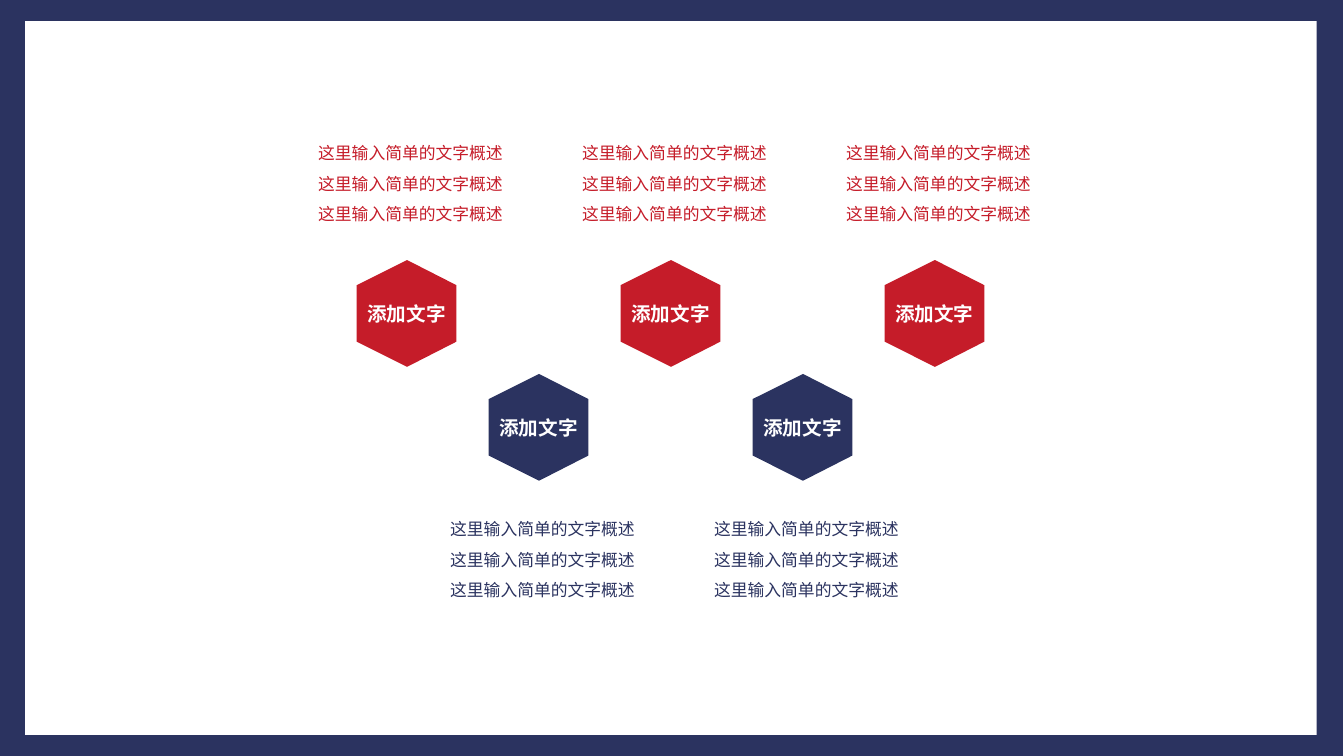
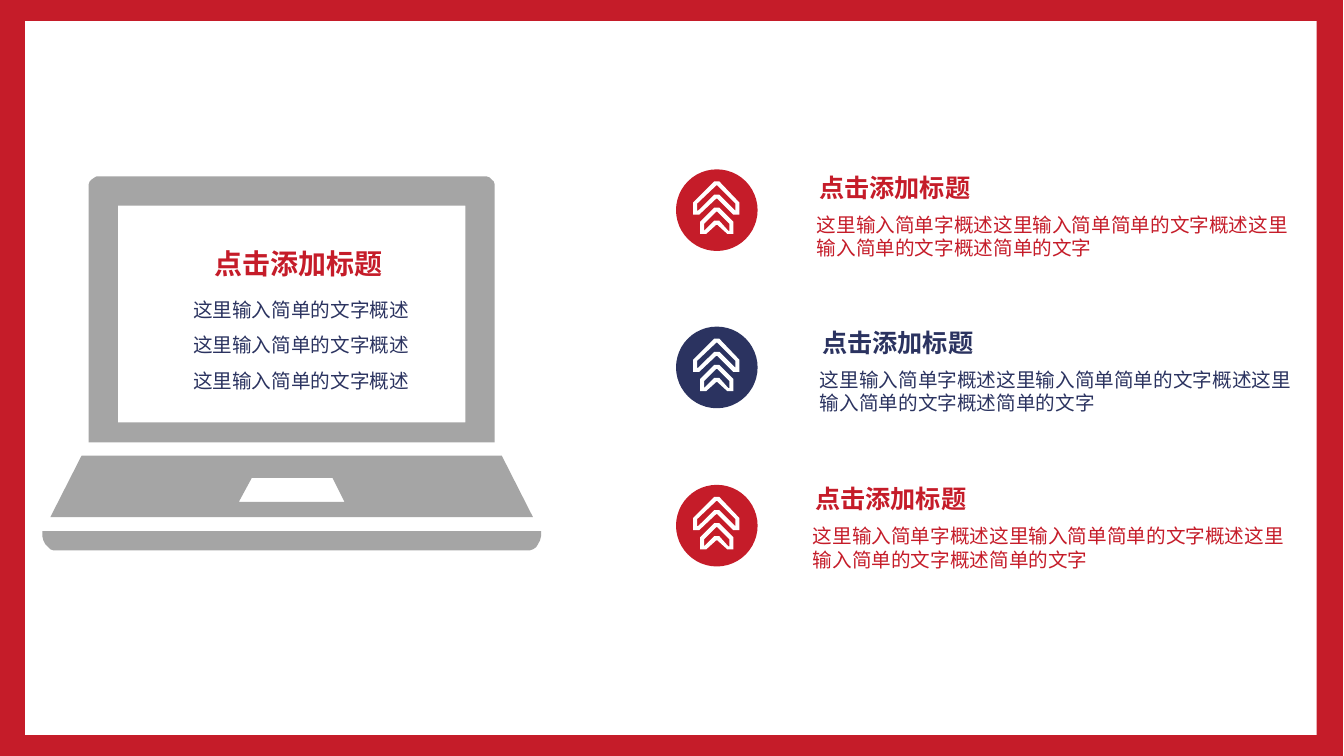
from dataclasses import dataclass
from math import cos, radians, sin

from lxml.etree import SubElement
from pptx import Presentation
from pptx.dml.color import RGBColor
from pptx.enum.shapes import MSO_SHAPE
from pptx.enum.text import MSO_ANCHOR, PP_ALIGN
from pptx.oxml.ns import qn
from pptx.shapes.autoshape import Shape
from pptx.slide import Slide
from pptx.text.text import TextFrame
from pptx.util import Pt

PX = 9144
RED = RGBColor(0xC5, 0x1C, 0x29)
NAVY = RGBColor(0x2B, 0x33, 0x60)
GREY = RGBColor(0xA5, 0xA5, 0xA5)
WHITE = RGBColor(0xFF, 0xFF, 0xFF)
SANS = "Noto Sans CJK SC"
LATO = "Lato"
LABEL = "添加文字"
TITLE = "点击添加标题"
LINES = ["这里输入简单的文字概述"] * 3
BODY = [
    "这里输入简单字概述这里输入简单简单的文字概述这里",
    "输入简单的文字概述简单的文字",
]

Points = list[tuple[int, int]]

HEX: Points = [(50, 0), (99, 25), (99, 81), (50, 106), (0, 81), (0, 25)]
ARROWS: list[Points] = [
    [(46, 21), (46, 33), (40, 33), (24, 17), (23, 17),
     (6, 33), (0, 33), (0, 21), (21, 0), (26, 0)],
    [(23, 4), (4, 22), (4, 29), (5, 29), (21, 13),
     (26, 13), (42, 29), (42, 22), (24, 4)],
    [(40, 40), (40, 52), (34, 52), (24, 43), (23, 43),
     (13, 52), (7, 52), (7, 40), (21, 26), (26, 26)],
    [(23, 30), (11, 42), (11, 49), (21, 39),
     (26, 39), (35, 49), (36, 49), (36, 42), (24, 30)],
]


@dataclass(frozen=True)
class Style:
    size: int
    tone: RGBColor
    font: str = SANS
    bold: bool = False
    align: PP_ALIGN = PP_ALIGN.LEFT
    space: float = 1.0


@dataclass(frozen=True)
class Row:
    tone: RGBColor
    disc: int
    left: int
    top: int


@dataclass(frozen=True)
class Tier:
    tone: RGBColor
    hex_top: int
    text_top: int


TIERS = [Tier(RED, 258, 127), Tier(NAVY, 371, 500)]
ROWS = [Row(RED, 168, 794, 151), Row(NAVY, 324, 797, 305), Row(RED, 481, 790, 460)]


def paint(shape: Shape, tone: RGBColor) -> None:
    shape.shadow.inherit = False
    shape.fill.solid()
    shape.fill.fore_color.rgb = tone
    shape.line.fill.background()


def block(slide: Slide, kind: MSO_SHAPE, x: int, y: int, w: int, h: int,
          tone: RGBColor) -> None:
    paint(slide.shapes.add_shape(kind, x * PX, y * PX, w * PX, h * PX), tone)


def outline(slide: Slide, paths: list[Points], x: int, y: int,
            tone: RGBColor) -> Shape:
    first = paths[0][0]
    pen = slide.shapes.build_freeform(x + first[0], y + first[1], scale=PX)
    for points in paths:
        spots = [(x + dx, y + dy) for dx, dy in points]
        if points is not paths[0]:
            pen.move_to(*spots[0])
        pen.add_line_segments(spots[1:], close=True)
    shape = pen.convert_to_shape()
    paint(shape, tone)
    return shape


def write(frame: TextFrame, lines: list[str], style: Style) -> None:
    frame.word_wrap = True
    for i, line in enumerate(lines):
        para = frame.add_paragraph() if i else frame.paragraphs[0]
        para.text = line
        para.alignment = style.align
        para.line_spacing = style.space
        font = para.font
        font.size = Pt(style.size)
        font.bold = style.bold
        font.color.rgb = style.tone
        font.name = style.font
        props = para._p.pPr.find(qn("a:defRPr"))
        SubElement(props, qn("a:ea")).set("typeface", SANS)


def text(slide: Slide, x: int, y: int, w: int, h: int, lines: list[str],
         style: Style) -> None:
    box = slide.shapes.add_textbox(x * PX, y * PX, w * PX, h * PX)
    write(box.text_frame, lines, style)


def title(slide: Slide, x: int, y: int, h: int, size: int, tone: RGBColor) -> None:
    style = Style(size, tone, LATO, True, PP_ALIGN.CENTER, 1.5)
    text(slide, x, y, 188, h, [TITLE], style)


def notes(slide: Slide, x: int, y: int, w: int, h: int, size: int,
          tone: RGBColor) -> None:
    style = Style(size, tone, align=PP_ALIGN.RIGHT, space=1.5)
    text(slide, x, y, w, h, LINES, style)


def arc(x: int, y: int, rx: int, ry: int, start: int) -> Points:
    turns = [radians(start + 15 * i) for i in range(7)]
    return [(round(x + rx * cos(t)), round(y + ry * sin(t))) for t in turns]


def framed(deck: Presentation, tone: RGBColor) -> Slide:
    slide = deck.slides.add_slide(deck.slide_layouts[6])
    block(slide, MSO_SHAPE.RECTANGLE, 0, 0, 1333, 750, tone)
    block(slide, MSO_SHAPE.RECTANGLE, 25, 21, 1282, 708, WHITE)
    return slide


def hexes(deck: Presentation) -> None:
    slide = framed(deck, NAVY)
    for i in range(5):
        tier = TIERS[i % 2]
        x = 354 + 131 * i
        shape = outline(slide, [HEX], x, tier.hex_top, tier.tone)
        frame = shape.text_frame
        frame.margin_left = frame.margin_right = 0
        frame.margin_top = frame.margin_bottom = 0
        frame.vertical_anchor = MSO_ANCHOR.MIDDLE
        write(frame, [LABEL], Style(14, WHITE, bold=True, align=PP_ALIGN.CENTER))
        notes(slide, x - 56, tier.text_top, 211, 100, 12, tier.tone)


def laptop(slide: Slide) -> None:
    lid = [(88, 439), *arc(99, 186, 11, 11, 180), *arc(480, 186, 11, 11, 270), (491, 439)]
    screen = [(462, 419), (117, 419), (117, 204), (462, 204)]
    keys = [(498, 452), (81, 452), (50, 513), (529, 513)]
    pad = [(237, 498), (250, 474), (330, 474), (342, 498)]
    base = [*arc(526, 527, 11, 19, 0), *arc(53, 527, 11, 19, 90)]
    outline(slide, [keys, pad, lid, screen, base], 0, 0, GREY)


def steps(deck: Presentation) -> None:
    slide = framed(deck, RED)
    laptop(slide)
    notes(slide, 171, 279, 245, 115, 14, NAVY)
    title(slide, 202, 223, 60, 20, RED)
    for row in ROWS:
        block(slide, MSO_SHAPE.OVAL, 671, row.disc, 81, 81, row.tone)
        outline(slide, ARROWS, 688, row.disc + 12, WHITE)
        title(slide, row.left, row.top, 55, 18, row.tone)
        text(slide, row.left + 7, row.top + 55, 496, 57, BODY, Style(14, row.tone))


def main() -> None:
    deck = Presentation()
    deck.slide_width = 1334 * PX
    deck.slide_height = 750 * PX
    hexes(deck)
    steps(deck)
    deck.save("out.pptx")


if __name__ == "__main__":
    main()
